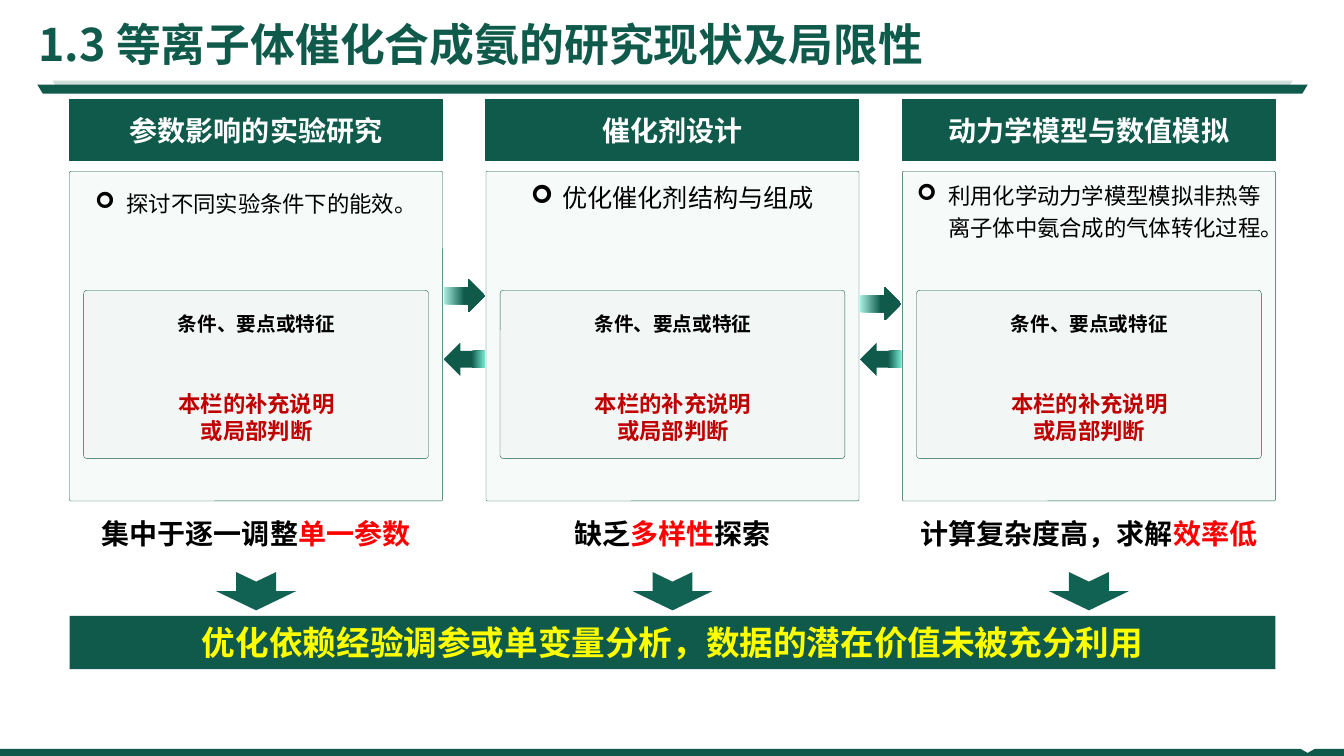
from dataclasses import dataclass

from lxml import etree
from pptx import Presentation
from pptx.dml.color import RGBColor
from pptx.enum.shapes import MSO_SHAPE
from pptx.enum.text import MSO_ANCHOR, PP_ALIGN
from pptx.oxml.ns import qn
from pptx.shapes.autoshape import Shape
from pptx.slide import Slide
from pptx.text.text import TextFrame, _Paragraph
from pptx.util import Inches, Pt

RECTANGLE = MSO_SHAPE.RECTANGLE
ROUNDED = MSO_SHAPE.ROUNDED_RECTANGLE
TRAPEZOID = MSO_SHAPE.TRAPEZOID
RIGHT_ARROW = MSO_SHAPE.RIGHT_ARROW
LEFT_ARROW = MSO_SHAPE.LEFT_ARROW
NOTCHED_ARROW = MSO_SHAPE.NOTCHED_RIGHT_ARROW
TOP, MIDDLE = MSO_ANCHOR.TOP, MSO_ANCHOR.MIDDLE
LEFT, CENTER = PP_ALIGN.LEFT, PP_ALIGN.CENTER


@dataclass(frozen=True)
class Theme:
    font: str = "Noto Sans CJK SC"
    green: str = "105A4B"
    arrow_green: str = "116252"
    rule_tint: str = "CFDEDB"
    right_glow: str = "A9F0E1"
    left_glow: str = "76E7D0"
    panel: str = "F6FBFA"
    card: str = "F2F6F5"
    white: str = "FFFFFF"
    black: str = "000000"
    yellow: str = "FFFF00"
    red: str = "FF0000"
    dark_red: str = "C00000"
    title_size: int = 32
    banner_size: int = 24
    heading_size: int = 20
    note_size: int = 16
    card_size: int = 14


THEME = Theme()


@dataclass(frozen=True)
class Area:
    left: float
    top: float
    width: float
    height: float

    def lengths(self) -> list[int]:
        return [Inches(value) for value in (self.left, self.top, self.width, self.height)]


@dataclass(frozen=True)
class Span:
    text: str
    color: str


@dataclass(frozen=True)
class TextStyle:
    size: int
    bold: bool = True
    align: PP_ALIGN = CENTER
    anchor: MSO_ANCHOR = MIDDLE
    spacing: float = 1.0
    inset: tuple[float, float] = (0.1, 0.05)
    wrap: bool = True
    bullet: str = ""


@dataclass(frozen=True)
class Column:
    heading: str
    point: str
    point_size: int
    point_spacing: float
    caption: list[Span]


COLUMNS = [
    Column("参数影响的实验研究", "探讨不同实验条件下的能效。", 16, 1.5,
           [Span("集中于逐一调整", THEME.black), Span("单一参数", THEME.red)]),
    Column("催化剂设计", "优化催化剂结构与组成", 18, 1.2,
           [Span("缺乏", THEME.black), Span("多样性", THEME.red), Span("探索", THEME.black)]),
    Column("动力学模型与数值模拟", "利用化学动力学模型模拟非热等离子体中氨合成的气体转化过程。", 16, 1.2,
           [Span("计算复杂度高，求解", THEME.black), Span("效率低", THEME.red)]),
]
COLUMN_LEFT, COLUMN_PITCH, COLUMN_WIDTH = 0.69, 4.13, 3.7
RIGHT_ARROW_TOPS = [2.77, 2.85]


def add_bullet(para: _Paragraph, mark: str) -> None:
    properties = para._p.get_or_add_pPr()
    properties.set("marL", str(Inches(0.31)))
    properties.set("indent", str(-Inches(0.31)))
    etree.SubElement(properties, qn("a:buFont")).set("typeface", "Wingdings")
    etree.SubElement(properties, qn("a:buChar")).set("char", mark)


def write(frame: TextFrame, lines: list[list[Span]], style: TextStyle) -> None:
    across, down = (Inches(value) for value in style.inset)
    frame_format = {"word_wrap": style.wrap, "vertical_anchor": style.anchor,
                    "margin_left": across, "margin_right": across,
                    "margin_top": down, "margin_bottom": down}
    for name, value in frame_format.items():
        setattr(frame, name, value)
    font_format = {"size": Pt(style.size), "bold": style.bold, "name": THEME.font}
    for index, spans in enumerate(lines):
        para = frame.add_paragraph() if index else frame.paragraphs[0]
        para.alignment = style.align
        para.line_spacing = style.spacing
        if style.bullet:
            add_bullet(para, style.bullet)
        for span in spans:
            run = para.add_run()
            run.text = span.text
            for name, value in font_format.items():
                setattr(run.font, name, value)
            run.font.color.rgb = RGBColor.from_string(span.color)
            east_asian = etree.SubElement(run._r.get_or_add_rPr(), qn("a:ea"))
            east_asian.set("typeface", THEME.font)


def paint(shape: Shape, fill: str, line_width: float = 0) -> None:
    shape.shadow.inherit = False
    shape.fill.solid()
    shape.fill.fore_color.rgb = RGBColor.from_string(fill)
    if line_width:
        shape.line.color.rgb = RGBColor.from_string(THEME.green)
        shape.line.width = Pt(line_width)
    else:
        shape.line.fill.background()


def add_block(page: Slide, preset: MSO_SHAPE, area: Area, fill: str,
              line_width: float = 0, corner: float | None = None) -> Shape:
    shape = page.shapes.add_shape(preset, *area.lengths())
    if corner is not None:
        shape.adjustments[0] = corner
    paint(shape, fill, line_width)
    return shape


def add_text(page: Slide, area: Area, lines: list[list[Span]], style: TextStyle) -> None:
    write(page.shapes.add_textbox(*area.lengths()).text_frame, lines, style)


def add_glow_arrow(page: Slide, preset: MSO_SHAPE, left: float, top: float,
                   stops: list[tuple[float, str]]) -> None:
    arrow = add_block(page, preset, Area(left, top, 0.41, 0.33), THEME.green)
    arrow.fill.gradient()
    arrow.fill.gradient_angle = 0
    for stop, (position, color) in zip(arrow.fill.gradient_stops, stops):
        stop.position = position
        stop.color.rgb = RGBColor.from_string(color)


def add_column(page: Slide, column: Column, left: float) -> None:
    header = add_block(page, RECTANGLE, Area(left, 0.99, COLUMN_WIDTH, 0.6), THEME.green, 0.75)
    write(header.text_frame, [[Span(column.heading, THEME.white)]],
          TextStyle(THEME.heading_size, inset=(0.04, 0.04)))
    panel = add_block(page, ROUNDED, Area(left, 1.7, COLUMN_WIDTH, 3.27), THEME.panel, 0.25, 0.004)
    write(panel.text_frame, [[Span(column.point, THEME.black)]],
          TextStyle(column.point_size, bold=False, anchor=TOP,
                    spacing=column.point_spacing, bullet="➢"))
    add_block(page, ROUNDED, Area(left + 0.14, 2.88, 3.42, 1.67), THEME.card, 0.25, 0.02)
    add_text(page, Area(left + 0.23, 2.99, 3.25, 0.4), [[Span("条件、要点或特征", THEME.black)]],
             TextStyle(THEME.card_size, spacing=1.2, inset=(0.06, 0.03)))
    add_text(page, Area(left + 0.25, 3.87, 3.21, 0.54),
             [[Span(text, THEME.dark_red)] for text in ("本栏的补充说明", "或局部判断")],
             TextStyle(THEME.note_size, inset=(0.06, 0.03)))
    add_text(page, Area(left, 5.08, COLUMN_WIDTH, 0.44), [column.caption],
             TextStyle(THEME.heading_size, anchor=TOP))
    down_arrow = add_block(page, NOTCHED_ARROW, Area(left + 1.66, 5.47, 0.38, 0.79),
                           THEME.arrow_green)
    down_arrow.rotation = 90


def add_title(page: Slide) -> None:
    title = page.shapes.title
    title.left, title.top, title.width, title.height = Area(0.38, 0.1, 12.58, 0.67).lengths()
    write(title.text_frame, [[Span("1.3 等离子体催化合成氨的研究现状及局限性", THEME.green)]],
          TextStyle(THEME.title_size, align=LEFT, inset=(0, 0), wrap=False))
    for area, color in ((Area(0.52, 0.8, 12.3, 0.09), THEME.rule_tint),
                        (Area(0.37, 0.84, 12.6, 0.09), THEME.green)):
        add_block(page, TRAPEZOID, area, color, corner=0.61).rotation = 180


def add_footer_band(page: Slide) -> None:
    outline = [(12.9, 7.43), (12.97, 7.47), (13.04, 7.43), (13.33, 7.43), (13.33, 7.5), (0, 7.5)]
    builder = page.shapes.build_freeform(0, Inches(7.43))
    builder.add_line_segments([(Inches(x), Inches(y)) for x, y in outline])
    paint(builder.convert_to_shape(), THEME.green)


def main() -> None:
    deck = Presentation()
    deck.slide_width, deck.slide_height = Inches(13.33), Inches(7.5)
    page = deck.slides.add_slide(deck.slide_layouts[5])
    add_title(page)
    for index, column in enumerate(COLUMNS):
        add_column(page, column, COLUMN_LEFT + index * COLUMN_PITCH)
    for index, top in enumerate(RIGHT_ARROW_TOPS):
        left = 4.4 + index * COLUMN_PITCH
        add_glow_arrow(page, RIGHT_ARROW, left, top, [(0, THEME.right_glow), (0.5, THEME.green)])
        add_glow_arrow(page, LEFT_ARROW, left, 3.4, [(0.68, THEME.green), (1, THEME.left_glow)])
    banner = add_block(page, RECTANGLE, Area(COLUMN_LEFT, 6.11, 11.96, 0.53), THEME.green)
    write(banner.text_frame,
          [[Span("优化依赖经验调参或单变量分析，数据的潜在价值未被充分利用", THEME.yellow)]],
          TextStyle(THEME.banner_size))
    add_footer_band(page)
    deck.save("out.pptx")


if __name__ == "__main__":
    main()
